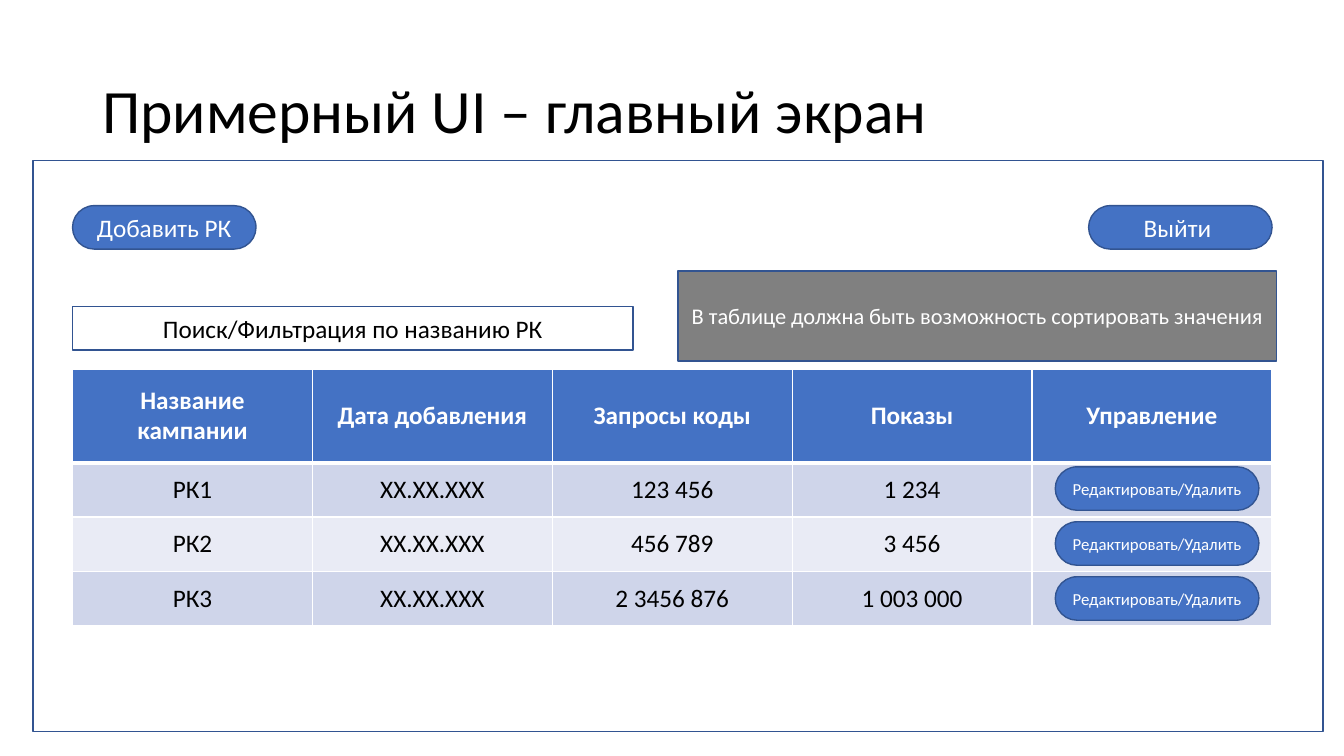
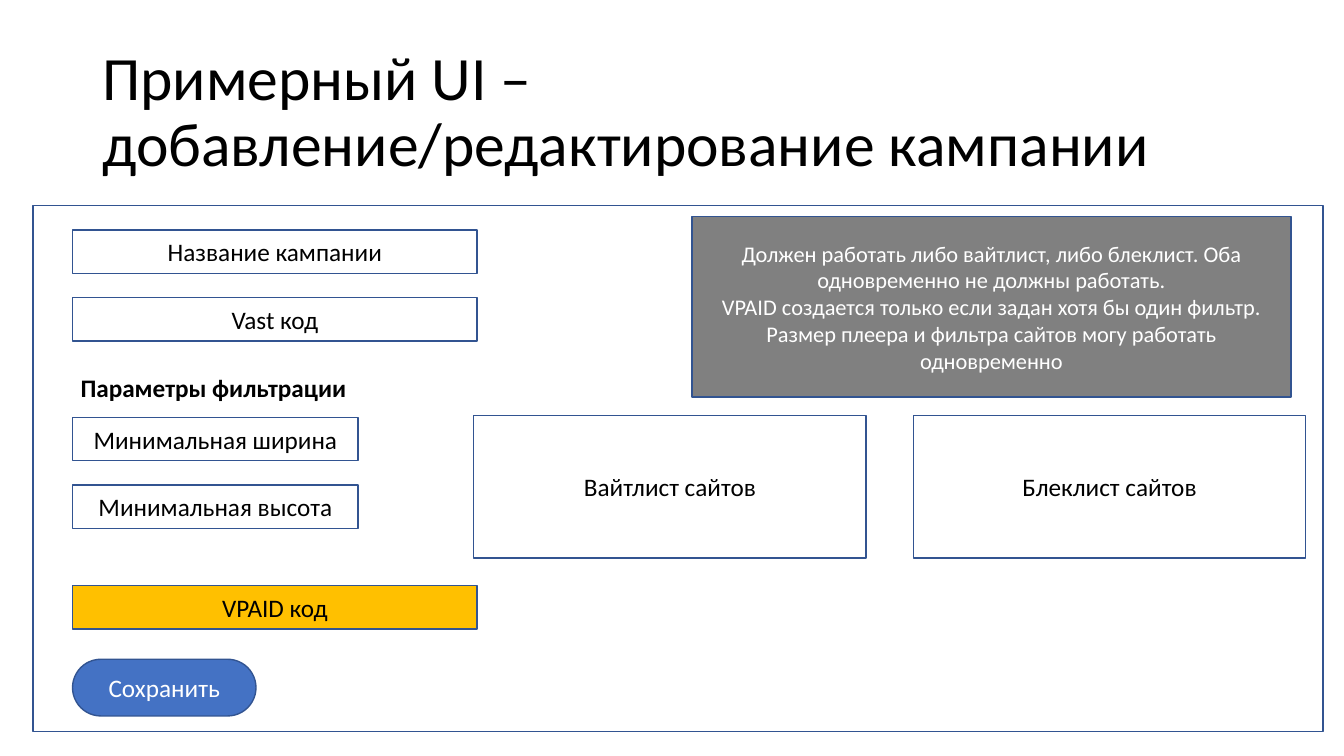
import pptx
import pptx.dml.color
import pptx.enum.shapes
import pptx.enum.text
import pptx.oxml
import pptx.oxml.ns
import pptx.util
from dataclasses import dataclass

ALIGN = pptx.enum.text.PP_ALIGN
ANCHOR = pptx.enum.text.MSO_ANCHOR
SHAPE = pptx.enum.shapes.MSO_SHAPE


@dataclass(frozen=True)
class Theme:
    font: str = "Calibri"
    ink: str = "000000"
    paper: str = "FFFFFF"
    accent: str = "4472C4"
    outline: str = "325491"
    note: str = "808080"
    highlight: str = "FFC000"
    bands: tuple = ("CFD5EA", "E9EBF5")
    title_size: int = 44
    body_size: int = 18
    note_size: int = 16
    small_size: int = 12


THEME = Theme()
LEFT = 5.4
CONTENT_WIDTH = 89.25
FIELD_HEIGHT = 5.75
FIELD_STEP = 8.95
FIELD_WIDTH = 30.1
BUTTON_WIDTH = 13.65
FRAME_BOTTOM = 96.8


def rgb(color):
    return pptx.dml.color.RGBColor.from_string(color)


class Mockup:
    def __init__(self, theme):
        self.theme = theme
        self.deck = pptx.Presentation()
        self.deck.slide_width = pptx.util.Inches(13.33)
        self.deck.slide_height = pptx.util.Inches(7.5)
        self.page = None

    def place(self, left, top, width, height):
        column = self.deck.slide_width / 100
        row = self.deck.slide_height / 100
        return [round(share * unit) for share, unit in
                zip((left, top, width, height), (column, row, column, row))]

    def set_text(self, frame, text, size, color, bold=False, align=ALIGN.CENTER):
        frame.text = text
        for para in frame.paragraphs:
            para.alignment = align
            para.font.name = self.theme.font
            para.font.size = pptx.util.Pt(size)
            para.font.bold = bold
            para.font.color.rgb = rgb(color)

    def screen(self, title, frame_top):
        self.page = self.deck.slides.add_slide(self.deck.slide_layouts[6])
        frame = self.label(title, (6.88, 5.33, 86.25, 19.33), self.theme.title_size)
        frame.word_wrap = True
        frame.vertical_anchor = ANCHOR.MIDDLE
        frame.paragraphs[0].line_spacing = 0.9
        self.field("", (2.45, frame_top, 96, FRAME_BOTTOM - frame_top))

    def label(self, text, area, size, bold=False):
        frame = self.page.shapes.add_textbox(*self.place(*area)).text_frame
        frame.word_wrap = False
        self.set_text(frame, text, size, self.theme.ink, bold, ALIGN.LEFT)
        return frame

    def box(self, kind, text, area, fill, size, color):
        shape = self.page.shapes.add_shape(kind, *self.place(*area))
        shape.shadow.inherit = False
        if fill:
            shape.fill.solid()
            shape.fill.fore_color.rgb = rgb(fill)
        else:
            shape.fill.background()
        shape.line.color.rgb = rgb(self.theme.outline)
        shape.line.width = pptx.util.Pt(1)
        if text:
            shape.text_frame.word_wrap = True
            shape.text_frame.vertical_anchor = ANCHOR.MIDDLE
            self.set_text(shape.text_frame, text, size, color)
        return shape

    def field(self, text, area, fill=None):
        self.box(SHAPE.RECTANGLE, text, area, fill, self.theme.body_size, self.theme.ink)

    def note(self, text, area):
        self.box(SHAPE.RECTANGLE, text, area, self.theme.note,
                 self.theme.note_size, self.theme.paper)

    def button(self, text, area, size=THEME.body_size):
        pill = self.box(SHAPE.ROUNDED_RECTANGLE, text, area, self.theme.accent,
                        size, self.theme.paper)
        pill.adjustments[0] = 0.5

    def border(self, cell, side, width):
        edge = pptx.oxml.parse_xml(
            f'<a:{side} {pptx.oxml.ns.nsdecls("a")} w="{pptx.util.Pt(width)}">'
            f'<a:solidFill><a:srgbClr val="{self.theme.paper}"/></a:solidFill></a:{side}>')
        cell._tc.get_or_add_tcPr().append(edge)

    def table(self, rows, area, header_height, row_height):
        grid = self.page.shapes.add_table(len(rows), len(rows[0]), *self.place(*area)).table
        for index, values in enumerate(rows):
            header = index == 0
            height = header_height if header else row_height
            grid.rows[index].height = self.place(0, 0, 0, height)[3]
            fill = self.theme.accent if header else self.theme.bands[(index - 1) % 2]
            for column, value in enumerate(values):
                cell = grid.cell(index, column)
                cell.vertical_anchor = ANCHOR.MIDDLE
                for side in ("lnL", "lnR", "lnT", "lnB"):
                    heavy = (header and side == "lnB") or (index == 1 and side == "lnT")
                    self.border(cell, side, 3 if heavy else 1)
                cell.fill.solid()
                cell.fill.fore_color.rgb = rgb(fill)
                color = self.theme.paper if header else self.theme.ink
                self.set_text(cell.text_frame, value, self.theme.body_size, color, header)


def main_screen(mockup):
    mockup.screen("Примерный UI – главный экран", 21.2)
    exit_left = LEFT + CONTENT_WIDTH - BUTTON_WIDTH
    for text, left in (("Добавить РК", LEFT), ("Выйти ", exit_left)):
        mockup.button(text, (left, 27.2, BUTTON_WIDTH, FIELD_HEIGHT))
    campaigns = [
        ("Название кампании", "Дата добавления", "Запросы коды", "Показы", "Управление"),
        ("РК1", "ХХ.ХХ.ХХХ", "123 456", "1 234", ""),
        ("РК2", "ХХ.ХХ.ХХХ", "456 789", "3 456", ""),
        ("РК3", "ХХ.ХХ.ХХХ", "2 3456 876", "1 003 000", ""),
    ]
    mockup.table(campaigns, (LEFT, 48.8, CONTENT_WIDTH, 34), 12.4, 7.2)
    for index in range(len(campaigns) - 1):
        mockup.button("Редактировать/Удалить ",
                      (78.52, 61.75 + 7.27 * index, 15.15, FIELD_HEIGHT),
                      mockup.theme.small_size)
    mockup.field("Поиск/Фильтрация по названию РК", (LEFT, 40.55, 41.7, FIELD_HEIGHT))
    mockup.note("В таблице должна быть возможность сортировать значения",
                (50.45, 35.87, 44.55, 11.87))


def campaign_screen(mockup):
    mockup.screen("Примерный UI – добавление/редактирование кампании", 27.2)
    field_groups = (
        (30.4, FIELD_WIDTH, ("Название кампании", "Vast код")),
        (55.2, 21.25, ("Минимальная ширина", "Минимальная высота")),
    )
    for top, width, names in field_groups:
        for index, name in enumerate(names):
            mockup.field(name, (LEFT, top + FIELD_STEP * index, width, FIELD_HEIGHT))
    for index, name in enumerate(("Вайтлист сайтов", "Блеклист сайтов")):
        mockup.field(name, (35.25 + 32.7 * index, 54.95, 29.2, 18.85))
    mockup.field("VPAID код", (LEFT, 77.45, FIELD_WIDTH, FIELD_HEIGHT),
                 mockup.theme.highlight)
    mockup.button("Сохранить", (LEFT, 87.2, BUTTON_WIDTH, 7.5))
    mockup.label("Параметры фильтрации", (5.25, 48.55, 21.45, 5.35),
                 mockup.theme.body_size, bold=True)
    mockup.note("Должен работать либо вайтлист, либо блеклист. "
                "Оба одновременно не должны работать.\n"
                "VPAID создается только если задан хотя бы один фильтр.\n"
                "Размер плеера и фильтра сайтов могу работать одновременно",
                (51.5, 28.65, 44.55, 23.87))


mockup = Mockup(THEME)
main_screen(mockup)
campaign_screen(mockup)
mockup.deck.save("out.pptx")
